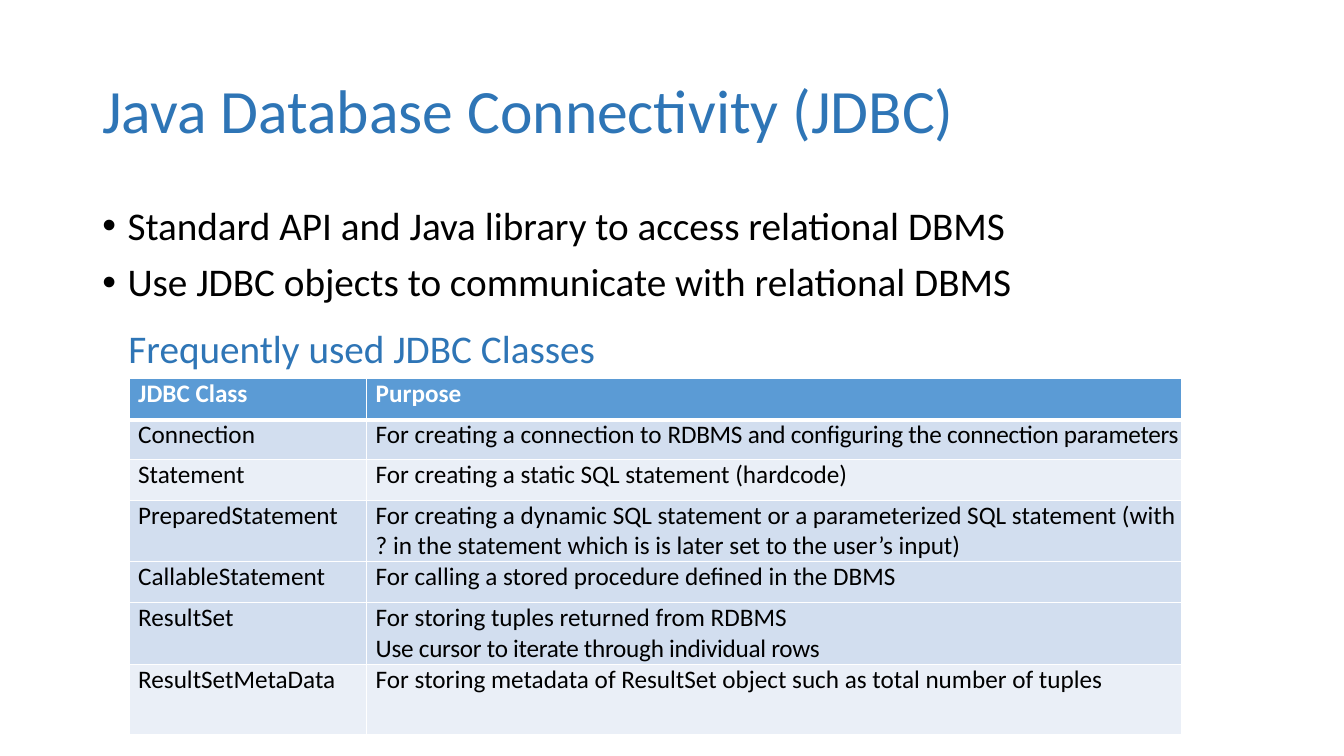
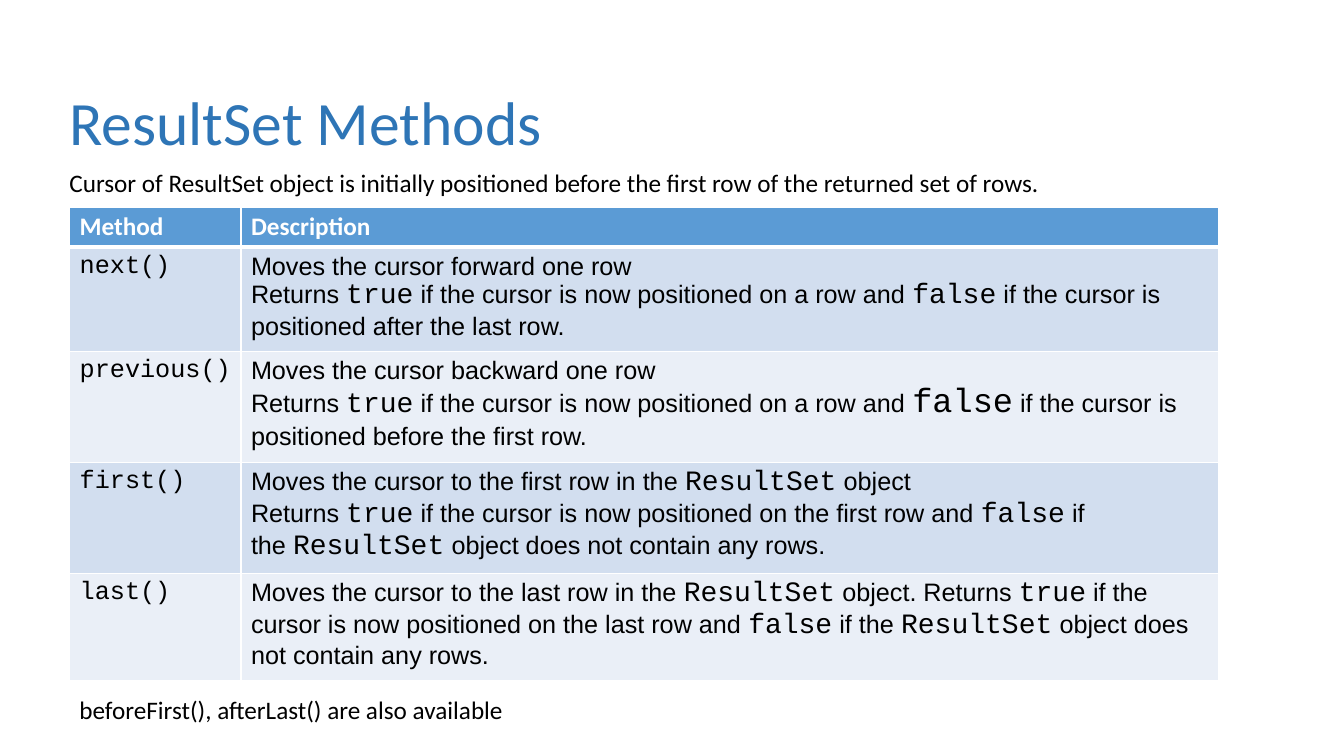
import pptx
import pptx.util
import pptx.dml.color
import pptx.enum.text
import pptx.oxml
import pptx.oxml.ns
from pptx.util import Pt

COLORS = {
    "title": "2E75B6",
    "text": "000000",
    "white": "FFFFFF",
    "header": "5B9BD5",
    "dark": "D2DEEF",
    "light": "EAEFF7",
}
SANS, ARIAL, MONO = "Calibri", "Arial", "Courier New"
MIDDLE = pptx.enum.text.MSO_ANCHOR.MIDDLE
TOP = pptx.enum.text.MSO_ANCHOR.TOP


# Text
def rgb(name):
    return pptx.dml.color.RGBColor.from_string(COLORS[name])


def add_span(para, text, font=SANS, size=18, color="text", bold=False, spacing=0):
    span = para.add_run()
    span.text = text
    span.font.name = font
    span.font.size = Pt(size)
    span.font.bold = bold
    span.font.color.rgb = rgb(color)
    if spacing:
        span.font._element.set("spc", str(round(spacing * 100)))


def write_paras(frame, paras, line_spacing=None, before=0, bullet=False, **style):
    """Each paragraph is a string or a list of strings and (string, style) pairs."""
    for index, parts in enumerate(paras):
        para = frame.paragraphs[0] if index == 0 else frame.add_paragraph()
        para.space_before = Pt(before)
        if line_spacing:
            para.line_spacing = line_spacing
        if bullet:
            props = para._p.get_or_add_pPr()
            props.set("marL", str(Pt(18)))
            props.set("indent", str(Pt(-18)))
            namespace = pptx.oxml.ns.nsdecls("a")
            for xml in (f'<a:buFont {namespace} typeface="Arial"/>',
                        f'<a:buChar {namespace} char="\u2022"/>'):
                props.append(pptx.oxml.parse_xml(xml))
        for part in [parts] if isinstance(parts, str) else parts:
            text, extra = (part, {}) if isinstance(part, str) else part
            add_span(para, text, **{**style, **extra})


def add_text(page, box, *paras, anchor=TOP, **style):
    frame = page.shapes.add_textbox(*map(Pt, box)).text_frame
    frame.word_wrap = True
    frame.vertical_anchor = anchor
    write_paras(frame, paras, **style)


def add_heading(page, box, text, size=44):
    add_text(page, box, text, anchor=MIDDLE, size=size, color="title", line_spacing=0.9)


# Tables
def add_borders(cell, top, bottom):
    props = cell._tc.get_or_add_tcPr()
    for index, (side, width) in enumerate((("L", 1), ("R", 1), ("T", top), ("B", bottom))):
        props.insert(index, pptx.oxml.parse_xml(
            f'<a:ln{side} {pptx.oxml.ns.nsdecls("a")} w="{Pt(width)}"><a:solidFill>'
            f'<a:srgbClr val="{COLORS["white"]}"/></a:solidFill></a:ln{side}>'))


def add_grid(page, corner, widths, heights, rows, bands, margins, fonts):
    """A cell is a string or a list of paragraphs; the first row is the header."""
    size = sum(widths), sum(heights)
    frame = page.shapes.add_table(len(rows), len(widths), *map(Pt, (*corner, *size)))
    table = frame.table
    table.first_row = table.horz_banding = False
    for column, width in zip(table.columns, widths):
        column.width = Pt(width)
    for row, height in zip(table.rows, heights):
        row.height = Pt(height)
    for r, row in enumerate(rows):
        for c, content in enumerate(row):
            cell = table.cell(r, c)
            cell.margin_left, cell.margin_top, cell.margin_right, cell.margin_bottom = map(Pt, margins)
            cell.fill.solid()
            cell.fill.fore_color.rgb = rgb(bands[r])
            add_borders(cell, top=3 if r == 1 else 1, bottom=3 if r == 0 else 1)
            if r == 0:
                style = dict(color="white", bold=True)
            else:
                style = dict(font=fonts[c])
            paras = [content] if isinstance(content, str) else content
            write_paras(cell.text_frame, paras, **style)


def tight(text):
    return text, dict(spacing=-0.2)


def code(text, size=20):
    return text, dict(font=MONO, size=size)


# Slide: JDBC overview
def build_overview(page, left, top):
    add_heading(page, (left, top, 828, 104.4), "Java Database Connectivity (JDBC)")
    add_text(page, (left, top + 115.2, 721.4, 342.7),
             "Standard API and Java library to access relational DBMS",
             "Use JDBC objects to communicate with relational DBMS",
             size=28, line_spacing=0.9, before=10, bullet=True)
    rows = [
        ("JDBC Class", "Purpose"),
        ("Connection", [["For creating a connection to ",
                         tight("RDBMS and configuring the connection parameters")]]),
        ("Statement", "For creating a static SQL statement (hardcode)"),
        ("PreparedStatement",
         "For creating a dynamic SQL statement or a parameterized SQL statement "
         "(with ? in the statement which is is later set to the user\u2019s input)"),
        ("CallableStatement", "For calling a stored procedure defined in the DBMS"),
        ("ResultSet", ["For storing tuples returned from RDBMS",
                       [tight("Use cursor to iterate through individual rows")]]),
        ("ResultSetMetaData",
         "For storing metadata of ResultSet object such as total number of tuples"),
    ]
    add_grid(page, (left + 26.2, top + 241.2), (169.7, 581.8),
             (30, 28, 29.3, 44, 29.3, 44, 50), rows,
             ("header", "dark", "light", "dark", "dark", "dark", "light"),
             margins=(6.5, 0, 0, 0), fonts=(SANS, SANS))
    add_heading(page, (left + 18.7, top + 169.9, 828, 104.4),
                "Frequently used JDBC Classes", size=28)


# Slide: ResultSet methods
def build_methods(page, left, top):
    add_heading(page, (left, top, 828, 104.4), "ResultSet Methods")
    returns = ["Returns\u00a0", code("true"), "\u00a0if the cursor is now positioned on "]
    no_rows = ["\u00a0if the\u00a0", code("ResultSet"), "\u00a0object does not contain any rows."]
    rows = [
        ("Method", "Description"),
        ("next()", ["Moves the cursor forward one row",
                    [*returns, "a row and\u00a0", code("false"),
                     "\u00a0if the cursor is positioned after the last row."]]),
        ("previous()", ["Moves the cursor backward one row",
                        [*returns, "a row and\u00a0", code("false", size=24),
                         "\u00a0if the cursor is positioned before the first row."]]),
        ("first()", [["Moves the cursor to the first row in the\u00a0",
                      code("ResultSet"), "\u00a0object"],
                     [*returns, "the first row and\u00a0", code("false"), *no_rows]]),
        ("last()", [["Moves the cursor to the last row in the\u00a0",
                     code("ResultSet"), "\u00a0object. ", *returns,
                     "the last row and\u00a0", code("false"), *no_rows]]),
    ]
    add_grid(page, (left + 7.2, top + 110.4), (122.4, 698.4),
             (28.6, 70, 74.3, 75.7, 72.9), rows,
             ("header", "dark", "light", "dark", "light"),
             margins=(7.2, 3.6, 7.2, 3.6), fonts=(MONO, ARIAL))
    add_text(page, (left + 7.2, top + 455, 321.1, 29),
             "beforeFirst(), afterLast() are also available")
    add_text(page, (left, top + 78.5, 713.5, 29),
             "Cursor of ResultSet object is initially positioned before the first row "
             "of the returned set of rows.")


deck = pptx.Presentation()
deck.slide_width, deck.slide_height = Pt(960), Pt(540)
for build, left, top in ((build_overview, 66, 28.8), (build_methods, 42.5, 37.4)):
    build(deck.slides.add_slide(deck.slide_layouts[6]), left, top)
deck.save("out.pptx")
